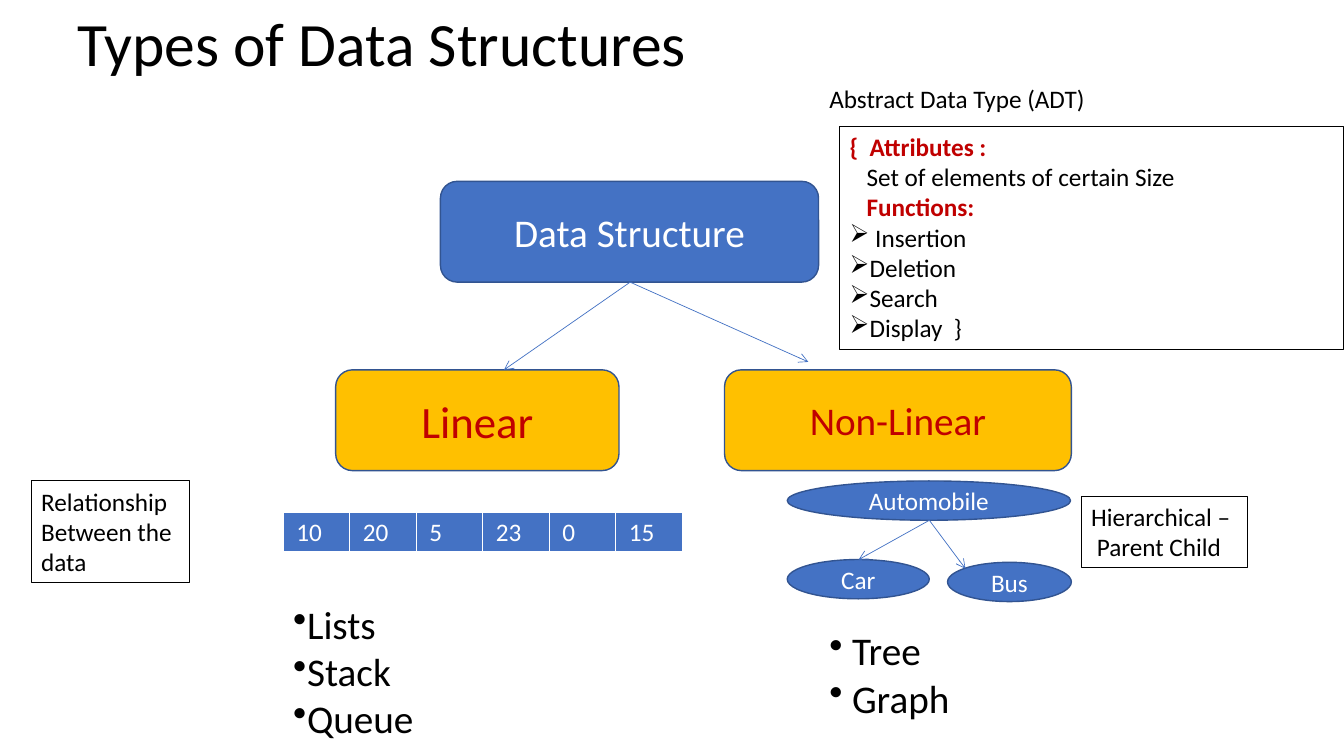
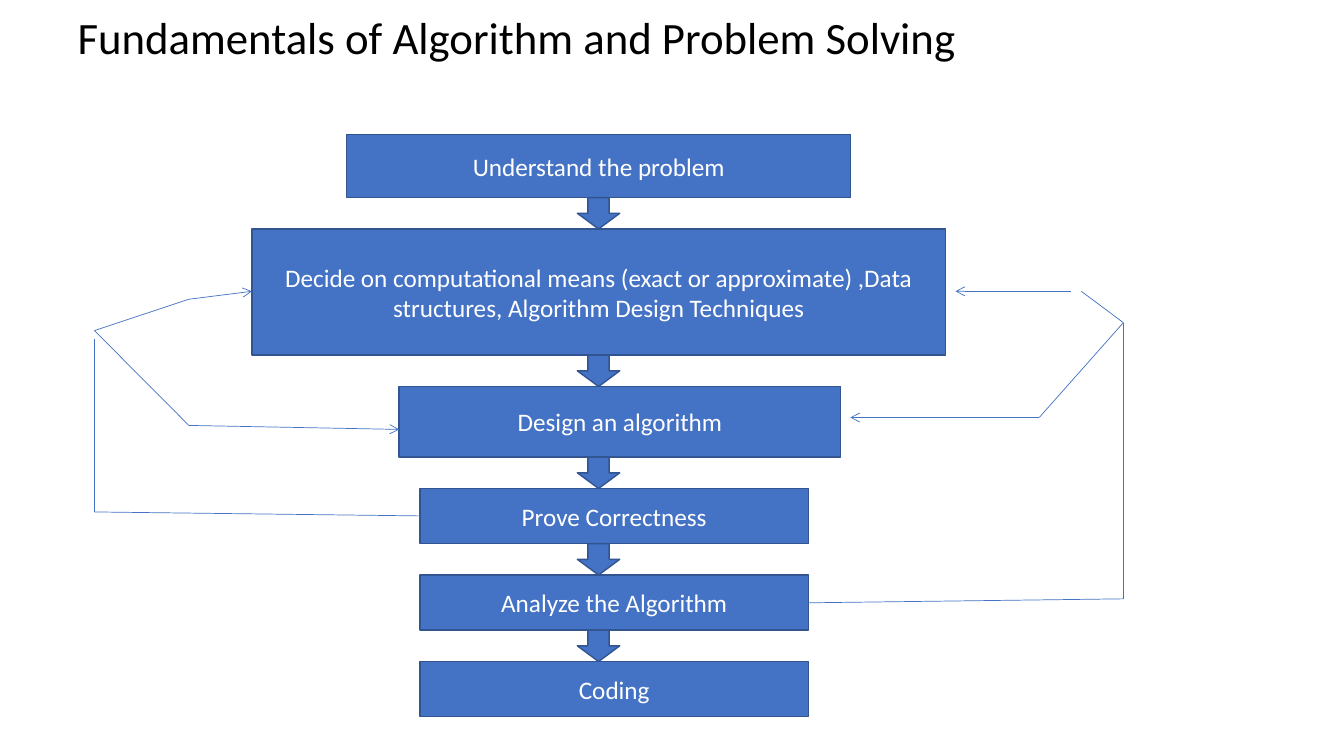
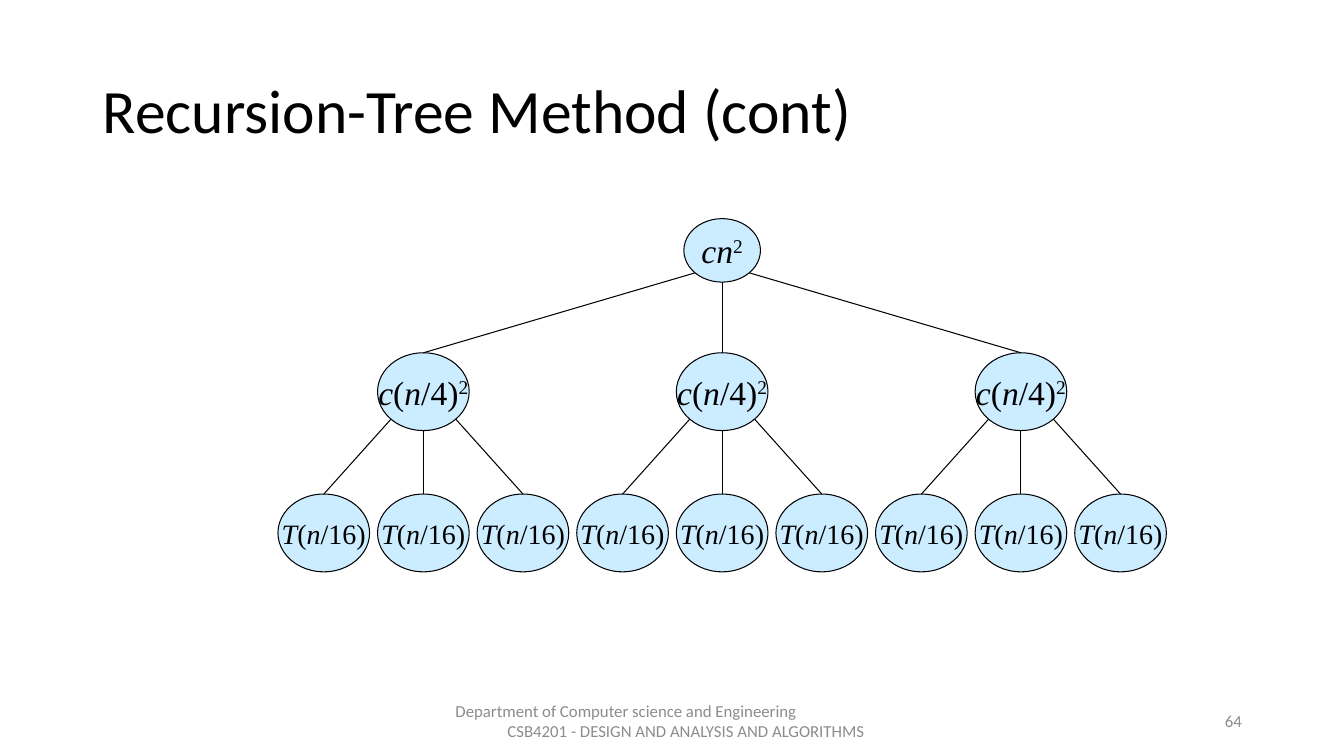
"""Builds three slides on data structures, algorithm design and recursion trees."""
from dataclasses import dataclass
from itertools import pairwise
from math import sqrt
from typing import Optional

from lxml.etree import SubElement
from pptx import Presentation
from pptx.dml.color import RGBColor
from pptx.enum.shapes import MSO_CONNECTOR, MSO_SHAPE
from pptx.enum.text import MSO_ANCHOR, MSO_AUTO_SIZE, PP_ALIGN
from pptx.oxml.ns import qn
from pptx.util import Cm, Pt

BLACK = RGBColor(0x00, 0x00, 0x00)
WHITE = RGBColor(0xFF, 0xFF, 0xFF)
BLUE = RGBColor(0x44, 0x72, 0xC4)
DARK_BLUE = RGBColor(0x32, 0x54, 0x91)
GOLD = RGBColor(0xFF, 0xC0, 0x00)
RED = RGBColor(0xC0, 0x00, 0x00)
PALE_BLUE = RGBColor(0xCC, 0xEC, 0xFF)
GRAY = RGBColor(0x8C, 0x8C, 0x8C)

BODY_FONT = "Calibri"
MATH_FONT = "Times New Roman"
TITLE_ONLY = 5


@dataclass(frozen=True)
class Box:
    """A rectangle in centimetres."""
    left: float
    top: float
    width: float
    height: float

    def lengths(self) -> tuple:
        """Return the four lengths for python-pptx."""
        return Cm(self.left), Cm(self.top), Cm(self.width), Cm(self.height)


@dataclass(frozen=True)
class Line:
    """One paragraph of a text box."""
    text: str
    color: RGBColor = BLACK
    bold: bool = False
    bullet: Optional[str] = None
    indent: float = 0


@dataclass(frozen=True)
class Block:
    """A filled shape with a centred label."""
    kind: MSO_SHAPE
    box: Box
    text: str = ""
    size: float = 18
    fill: RGBColor = BLUE
    color: RGBColor = WHITE


@dataclass(frozen=True)
class Note:
    """A text box with an optional outline."""
    box: Box
    lines: tuple
    size: float = 18
    outlined: bool = False
    align: PP_ALIGN = PP_ALIGN.LEFT
    anchor: MSO_ANCHOR = MSO_ANCHOR.TOP


@dataclass(frozen=True)
class Path:
    """A chain of straight lines."""
    points: tuple
    arrow: bool = True


@dataclass(frozen=True)
class Part:
    """A run of a formula."""
    text: str
    italic: bool = False
    raised: bool = False


def set_font(paragraph, size: float, color: RGBColor, name: str = BODY_FONT, bold: bool = False) -> None:
    """Set the font shared by all runs of a paragraph."""
    font = paragraph.font
    font.name, font.size, font.bold = name, Pt(size), bold
    font.color.rgb = color


def add_titled_slide(presentation, title: str, box: Box, size: float):
    """Add a title-only slide with its title in place."""
    slide = presentation.slides.add_slide(presentation.slide_layouts[TITLE_ONLY])
    shape = slide.shapes.title
    shape.left, shape.top, shape.width, shape.height = box.lengths()
    frame = shape.text_frame
    frame.text = title
    frame.auto_size = MSO_AUTO_SIZE.NONE
    frame.vertical_anchor = MSO_ANCHOR.MIDDLE
    paragraph = frame.paragraphs[0]
    paragraph.alignment = PP_ALIGN.LEFT
    paragraph.line_spacing = 0.9
    set_font(paragraph, size, BLACK)
    return slide


def add_filled_shape(slide, kind: MSO_SHAPE, box: Box, fill: RGBColor, line: RGBColor, weight: float):
    """Add a flat preset shape."""
    shape = slide.shapes.add_shape(kind, *box.lengths())
    shape.shadow.inherit = False
    shape.fill.solid()
    shape.fill.fore_color.rgb = fill
    shape.line.color.rgb = line
    shape.line.width = Pt(weight)
    return shape


def add_block(slide, block: Block) -> None:
    """Add a labelled block."""
    shape = add_filled_shape(slide, block.kind, block.box, block.fill, DARK_BLUE, 1)
    if block.text:
        frame = shape.text_frame
        frame.text = block.text
        frame.word_wrap = True
        frame.vertical_anchor = MSO_ANCHOR.MIDDLE
        paragraph = frame.paragraphs[0]
        paragraph.alignment = PP_ALIGN.CENTER
        set_font(paragraph, block.size, block.color)


def add_note(slide, note: Note) -> None:
    """Add a text box with its paragraphs."""
    shape = slide.shapes.add_textbox(*note.box.lengths())
    if note.outlined:
        shape.line.color.rgb = BLACK
        shape.line.width = Pt(0.75)
    frame = shape.text_frame
    frame.word_wrap = True
    frame.vertical_anchor = note.anchor
    frame.text = "\n".join(line.text for line in note.lines)
    for paragraph, line in zip(frame.paragraphs, note.lines):
        paragraph.alignment = note.align
        properties = paragraph._p.get_or_add_pPr()
        if line.indent:
            properties.set("marL", str(Cm(line.indent)))
        if line.bullet:
            SubElement(properties, qn("a:buChar")).set("char", line.bullet)
        set_font(paragraph, note.size, line.color, bold=line.bold)


def add_line(slide, start: tuple, end: tuple, color: RGBColor, weight: float, arrow: bool = False) -> None:
    """Add a straight line, with an arrowhead at its end if asked."""
    connector = slide.shapes.add_connector(
        MSO_CONNECTOR.STRAIGHT, *(Cm(value) for value in (*start, *end)))
    connector.line.color.rgb = color
    connector.line.width = Pt(weight)
    if arrow:
        SubElement(connector.line._get_or_add_ln(), qn("a:tailEnd")).set("type", "arrow")
    SubElement(connector._element.spPr, qn("a:effectLst"))


def add_path(slide, path: Path) -> None:
    """Add the lines of a path, the arrowhead on the last."""
    for start, end in pairwise(path.points):
        add_line(slide, start, end, BLUE, 0.5, path.arrow and end == path.points[-1])


def add_borders(cell) -> None:
    """Give a cell white borders, the lower one thicker."""
    properties = cell._tc.get_or_add_tcPr()
    for index, (side, weight) in enumerate((("L", 1), ("R", 1), ("T", 1), ("B", 3))):
        border = SubElement(properties, qn(f"a:ln{side}"))
        border.set("w", str(Pt(weight)))
        fill = SubElement(border, qn("a:solidFill"))
        SubElement(fill, qn("a:srgbClr")).set("val", str(WHITE))
        properties.insert(index, border)


def add_array(slide, box: Box, values: tuple) -> None:
    """Add a one-row table of values."""
    table = slide.shapes.add_table(1, len(values), *box.lengths()).table
    table.first_row = table.horz_banding = False
    for cell, value in zip(table.rows[0].cells, values):
        cell.text = value
        cell.margin_left = cell.margin_right = Cm(0.33)
        cell.margin_top = cell.margin_bottom = Cm(0.13)
        cell.fill.solid()
        cell.fill.fore_color.rgb = BLUE
        set_font(cell.text_frame.paragraphs[0], 18, WHITE)
        add_borders(cell)


def build_types_slide(presentation) -> None:
    """Build the overview of data structures."""
    slide = add_titled_slide(presentation, "Types of Data Structures", Box(1.7, -0.41, 30.48, 3.18), 44)
    rounded, oval = MSO_SHAPE.ROUNDED_RECTANGLE, MSO_SHAPE.OVAL
    blocks = (
        Block(rounded, Box(11.1, 4.57, 9.53, 2.54), "Data Structure", 28),
        Block(rounded, Box(8.46, 9.32, 7.14, 2.54), "Linear", 32, GOLD, RED),
        Block(rounded, Box(18.26, 9.32, 8.74, 2.54), "Non-Linear", 28, GOLD, RED),
        Block(oval, Box(19.84, 12.12, 7.14, 0.99), "Automobile"),
        Block(oval, Box(19.84, 14.1, 3.58, 0.99), "Car"),
        Block(oval, Box(23.88, 14.17, 3.12, 0.99), "Bus"),
    )
    for block in blocks:
        add_block(slide, block)
    root, vehicle = (15.88, 7.11), (23.42, 13.11)
    for start, end in ((root, (12.7, 9.32)), (root, (20.37, 9.12)),
                       (vehicle, (24.33, 14.33)), (vehicle, (21.64, 14.1))):
        add_path(slide, Path((start, end)))
    add_array(slide, Box(7.14, 12.9, 10.06, 1.02), ("10", "20", "5", "23", "0", "15"))
    operations = (" Insertion", "Deletion", "Search", "Display  }")
    notes = (
        Note(Box(7.14, 15.01, 3.58, 3.84),
             tuple(Line(text, bullet="•") for text in ("Lists", "Stack", "Queue")), 28),
        Note(Box(20.65, 15.67, 3.58, 2.64),
             tuple(Line(text, bullet="•") for text in (" Tree", " Graph")), 28),
        Note(Box(0.79, 12.12, 3.99, 2.57),
             (Line("Relationship"), Line("Between the"), Line("data")), outlined=True),
        Note(Box(27.25, 12.5, 4.19, 1.8),
             (Line("Hierarchical –"), Line(" Parent Child")), outlined=True),
        Note(Box(21.16, 3.18, 12.7, 5.64),
             (Line("{  Attributes :", RED, True),
              Line("Set of elements of certain Size", indent=0.43),
              Line("Functions:", RED, True, indent=0.43),
              *(Line(text, bullet="➢") for text in operations)), outlined=True),
        Note(Box(20.65, 1.98, 7.2, 1.02), (Line("Abstract Data Type (ADT)"),)),
    )
    for note in notes:
        add_note(slide, note)


def build_process_slide(presentation) -> None:
    """Build the flow of algorithm design steps."""
    slide = add_titled_slide(
        presentation, "Fundamentals of Algorithm and Problem Solving", Box(1.7, -0.58, 30.48, 3.18), 32)
    steps = (
        ("Understand the problem", 8.74, 12.7, 1.59),
        ("Decide on computational means (exact or approximate) ,Data structures, "
         "Algorithm Design Techniques", 6.35, 17.48, 3.18),
        ("Design an algorithm", 10.06, 11.13, 1.78),
        ("Prove Correctness", 10.59, 9.78, 1.39),
        ("Analyze the Algorithm", 10.59, 9.78, 1.39),
        ("Coding", 10.59, 9.78, 1.39),
    )
    top, gap = 3.39, 0.79
    for index, (text, left, width, height) in enumerate(steps):
        if index:
            add_block(slide, Block(MSO_SHAPE.DOWN_ARROW, Box(14.55, top - gap, 1.07, gap)))
        add_block(slide, Block(MSO_SHAPE.RECTANGLE, Box(left, top, width, height), text))
        top += height + gap
    left_fork, right_fork = (2.38, 8.33), (28.31, 8.13)
    paths = (
        Path(((10.59, 13), (2.38, 12.9), (2.38, 8.53)), False),
        Path((left_fork, (4.76, 7.54), (6.35, 7.34))),
        Path((left_fork, (4.76, 10.72), (10.06, 10.82))),
        Path(((20.37, 15.19), (28.31, 15.09), right_fork, (27.25, 7.34)), False),
        Path(((26.99, 7.34), (24.08, 7.34))),
        Path((right_fork, (26.19, 10.52), (21.43, 10.52))),
    )
    for path in paths:
        add_path(slide, path)


def add_node(slide, center: float, top: float, width: float, height: float, parts: tuple, size: float) -> Box:
    """Add a tree node with a formula and return its box."""
    box = Box(center - width / 2, top, width, height)
    shape = add_filled_shape(slide, MSO_SHAPE.FLOWCHART_CONNECTOR, box, PALE_BLUE, BLACK, 0.75)
    frame = shape.text_frame
    frame.word_wrap = False
    frame.vertical_anchor = MSO_ANCHOR.MIDDLE
    paragraph = frame.paragraphs[0]
    paragraph.alignment = PP_ALIGN.CENTER
    set_font(paragraph, size, BLACK, MATH_FONT)
    for part in parts:
        run = paragraph.add_run()
        run.text = part.text
        run.font.italic = part.italic
        if part.raised:
            run.font._element.set("baseline", "30000")
    return box


def add_branch(slide, parent: Box, child: Box, side: int) -> None:
    """Join the lower left (-1), bottom (0) or lower right (1) of a node to its child."""
    reach = 1 / sqrt(2) if side else 1
    start = (parent.left + parent.width / 2 * (1 + side * reach),
             parent.top + parent.height / 2 * (1 + reach))
    add_line(slide, start, (child.left + child.width / 2, child.top), BLACK, 0.75)


def build_recursion_slide(presentation) -> None:
    """Build the three-level recursion tree."""
    slide = add_titled_slide(presentation, "Recursion-Tree Method (cont)", Box(2.34, 1.02, 29.21, 3.68), 44)
    square = Part("2", raised=True)
    root_label = (Part("cn", True), square)
    branch_label = (Part("c", True), Part("("), Part("n", True), Part("/4)"), square)
    leaf_label = (Part("T", True), Part("("), Part("n", True), Part("/16)"))
    middle, pitch, sides = 18.2, 2.51, (-1, 0, 1)
    root = add_node(slide, middle, 5.51, 1.93, 1.6, root_label, 24)
    for side in sides:
        center = middle + side * 3 * pitch
        branch = add_node(slide, center, 8.89, 2.31, 1.96, branch_label, 24)
        add_branch(slide, root, branch, side)
        for leaf_side in sides:
            leaf = add_node(slide, center + leaf_side * pitch, 12.45, 2.31, 1.96, leaf_label, 20)
            add_branch(slide, branch, leaf, leaf_side)
    add_note(slide, Note(
        Box(11.23, 17.65, 11.43, 1.02),
        (Line("Department of Computer science and Engineering", GRAY),
         Line("CSB4201 - DESIGN AND ANALYSIS AND ALGORITHMS", GRAY, indent=1.31)),
        12, anchor=MSO_ANCHOR.MIDDLE))
    add_note(slide, Note(Box(23.93, 17.65, 7.62, 1.02), (Line("64", GRAY),), 12,
                         align=PP_ALIGN.RIGHT, anchor=MSO_ANCHOR.MIDDLE))


def main() -> None:
    """Build and save the presentation."""
    presentation = Presentation()
    presentation.slide_width, presentation.slide_height = Cm(33.87), Cm(19.05)
    build_types_slide(presentation)
    build_process_slide(presentation)
    build_recursion_slide(presentation)
    presentation.save("out.pptx")


if __name__ == "__main__":
    main()
